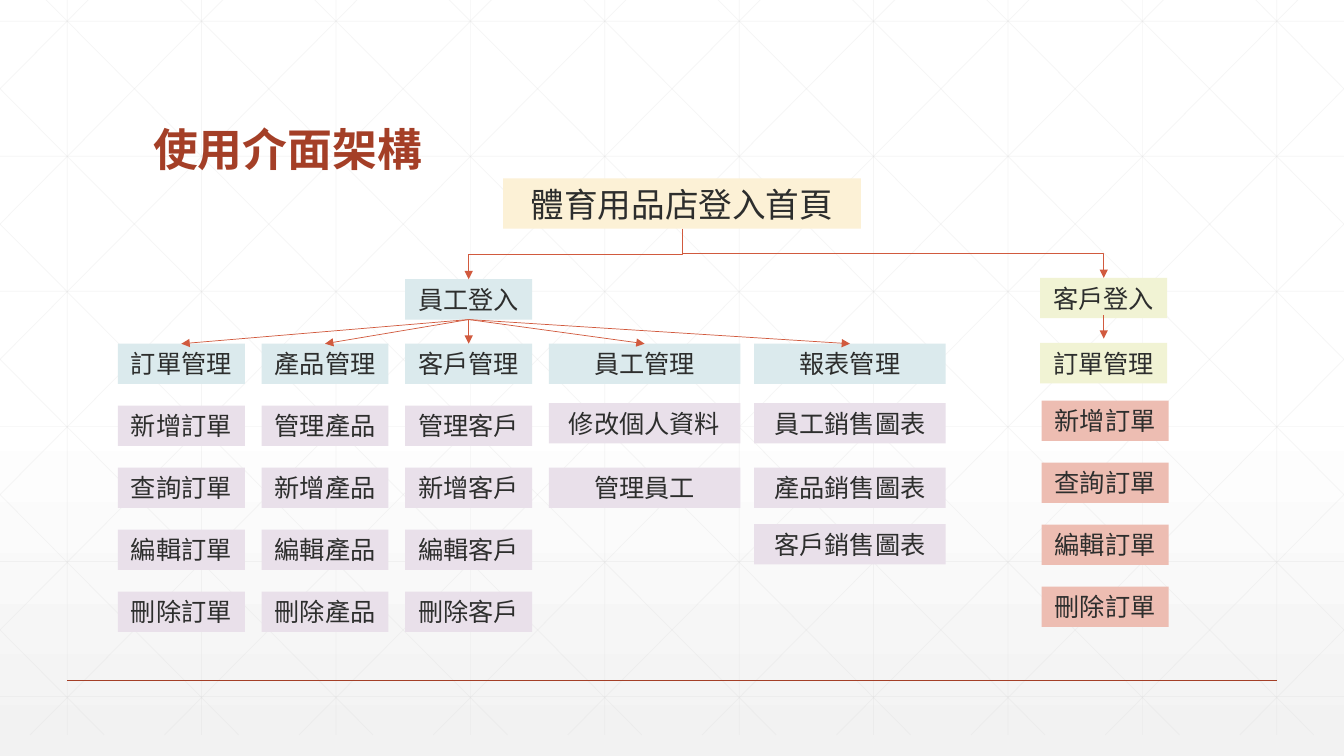
import copy
import dataclasses

import pptx
import pptx.dml.color
import pptx.enum.shapes
import pptx.enum.text
import pptx.oxml
import pptx.oxml.ns
import pptx.util

Inches = pptx.util.Inches
CONNECTOR = pptx.enum.shapes.MSO_CONNECTOR
ALIGN = pptx.enum.text.PP_ALIGN
ANCHOR = pptx.enum.text.MSO_ANCHOR

WIDTH, HEIGHT = 40 / 3, 7.5


@dataclasses.dataclass(frozen=True)
class Theme:
    title: str = "A43F27"
    text: str = "2D2E2D"
    arrow: str = "D15A3E"
    mesh: str = "D9D9D9"
    paper: str = "FFFFFF"
    paper_end: str = "F2F2F2"
    home: str = "FCF1D6"
    staff: str = "DBEAED"
    staff_task: str = "E9E0EA"
    client: str = "F1F3D4"
    client_task: str = "EDBDB2"
    title_font: str = "Noto Sans CJK TC"
    body_font: str = "Arial"
    title_size: int = 32
    home_size: int = 24
    body_size: int = 18


@dataclasses.dataclass(frozen=True)
class Grid:
    left: float
    top: float
    column: float = 1.425
    row: float = 0.615

    def at(self, column, row):
        return self.left + column * self.column, self.top + row * self.row


THEME = Theme()
NARROW, WIDE, TALL = 1.26, 1.9, 0.4

# Column, width, heading, tasks and the rows the tasks stand in
EVEN_ROWS, WIDE_ROWS = (1, 2, 3, 4), (0.96, 2, 2.91)
STAFF_MENUS = [
    (0, NARROW, "訂單管理", ["新增訂單", "查詢訂單", "編輯訂單", "刪除訂單"], EVEN_ROWS),
    (1, NARROW, "產品管理", ["管理產品", "新增產品", "編輯產品", "刪除產品"], EVEN_ROWS),
    (2, NARROW, "客戶管理", ["管理客戶", "新增客戶", "編輯客戶", "刪除客戶"], EVEN_ROWS),
    (3, WIDE, "員工管理", ["修改個人資料", "管理員工"], WIDE_ROWS),
    (4.43, WIDE, "報表管理", ["員工銷售圖表", "產品銷售圖表", "客戶銷售圖表"], WIDE_ROWS),
]
CLIENT_TASKS = ["新增訂單", "查詢訂單", "編輯訂單", "刪除訂單"]


def rgb(value):
    return pptx.dml.color.RGBColor.from_string(value)


def write(shape, text, size=THEME.body_size, font=THEME.body_font, color=THEME.text,
          bold=False, align=ALIGN.CENTER, anchor=ANCHOR.MIDDLE, spacing=1.0):
    frame = shape.text_frame
    frame.word_wrap = True
    frame.vertical_anchor = anchor
    para = frame.paragraphs[0]
    para.alignment = align
    para.line_spacing = spacing
    span = para.add_run()
    span.text = text
    span.font.size = pptx.util.Pt(size)
    span.font.name = font
    span.font.bold = bold
    span.font.color.rgb = rgb(color)
    east_asian = pptx.oxml.parse_xml(
        f'<a:ea {pptx.oxml.ns.nsdecls("a")} typeface="{font}"/>')
    span.font._element.append(east_asian)


def add_line(page, start, end, color, weight=0.5, kind=CONNECTOR.STRAIGHT,
             arrow=False, opacity=None):
    line = page.shapes.add_connector(kind, *(Inches(v) for v in (*start, *end)))
    line.line.width = pptx.util.Pt(weight)
    line.line.color.rgb = rgb(color)
    names = pptx.oxml.ns.nsdecls("a")
    properties = line._element.spPr
    if opacity is not None:
        tint = properties.xpath("./a:ln/a:solidFill/a:srgbClr")[0]
        tint.append(pptx.oxml.parse_xml(f'<a:alpha {names} val="{opacity * 1000}"/>'))
    if arrow:
        properties.ln.append(
            pptx.oxml.parse_xml(f'<a:tailEnd {names} type="triangle"/>'))
    properties.append(pptx.oxml.parse_xml(f"<a:effectLst {names}/>"))
    return line


def add_drop(page, start, end):
    """Elbow arrow that leaves downward: a level elbow turned a quarter."""
    middle_x, middle_y = (start[0] + end[0]) / 2, (start[1] + end[1]) / 2
    half_x, half_y = (end[0] - start[0]) / 2, (end[1] - start[1]) / 2
    elbow = add_line(page, (middle_x - half_y, middle_y + half_x),
                     (middle_x + half_y, middle_y - half_x),
                     THEME.arrow, kind=CONNECTOR.ELBOW, arrow=True)
    elbow._element.spPr.xfrm.rot = 90


def add_box(page, corner, text, fill, width=NARROW, height=TALL, **text_format):
    """Draws a box and returns the middles of its top and bottom edges."""
    left, top = corner
    box = page.shapes.add_shape(pptx.enum.shapes.MSO_SHAPE.RECTANGLE,
                                *(Inches(v) for v in (left, top, width, height)))
    box.shadow.inherit = False
    box.fill.solid()
    box.fill.fore_color.rgb = rgb(fill)
    box.line.fill.background()
    frame = box.text_frame
    frame.margin_top = frame.margin_bottom = 0
    write(box, text, **text_format)
    return (left + width / 2, top), (left + width / 2, top + height)


def draw_background(page):
    # Paper shade, white over the upper half
    fill = page.background.fill
    fill.gradient()
    fill.gradient_angle = 270
    first = page._element.xpath(".//a:gs")[0]
    first.addnext(copy.deepcopy(first))
    shades = [(0, THEME.paper), (0.53, THEME.paper), (1, THEME.paper_end)]
    for stop, (position, color) in zip(fill.gradient_stops, shades):
        stop.position = position
        stop.color.rgb = rgb(color)

    # Mesh: uprights, levels, then mirrored diagonals cut at the slide's sides
    pitch, top, bottom = WIDTH / 10, -0.21, 7.29
    segments = [((pitch * (i + 0.5), top), (pitch * (i + 0.5), bottom))
                for i in range(10)]
    segments += [((0, 0.21 + 1.34 * i), (WIDTH, 0.21 + 1.34 * i)) for i in range(6)]
    for i in range(-5, 10):
        start = 0.25 + pitch * i
        left, right = max(start, 0), min(start + 7.45, WIDTH)
        slope = (bottom - top) / 7.45
        high, low = top + (left - start) * slope, top + (right - start) * slope
        segments.append(((left, high), (right, low)))
        segments.append(((WIDTH - left, high), (WIDTH - right, low)))
    for start, end in segments:
        add_line(page, start, end, THEME.mesh, opacity=25)

    # Footer rule
    add_line(page, (pitch / 2, 6.75), (WIDTH - pitch / 2, 6.75), THEME.title, weight=1)


def draw_title(page, left, top, width, height):
    box = page.shapes.add_textbox(*(Inches(v) for v in (left, top, width, height)))
    write(box, "使用介面架構", size=THEME.title_size, font=THEME.title_font,
          color=THEME.title, bold=True, align=ALIGN.LEFT, anchor=ANCHOR.BOTTOM,
          spacing=0.9)


def draw_staff_branch(page, grid):
    login_top, login_bottom = add_box(page, grid.at(2, -1.04), "員工登入", THEME.staff)
    for column, width, heading, tasks, rows in STAFF_MENUS:
        heading_top, _ = add_box(page, grid.at(column, 0), heading, THEME.staff, width)
        for task, row in zip(tasks, rows):
            add_box(page, grid.at(column, row), task, THEME.staff_task, width)
        add_line(page, login_bottom, heading_top, THEME.arrow, arrow=True)
    return login_top


def draw_client_branch(page, grid):
    login_top, (center, login_bottom) = add_box(
        page, grid.at(0, -0.98), "客戶登入", THEME.client)
    add_box(page, grid.at(0, 0.07), "訂單管理", THEME.client)
    for row, task in enumerate(CLIENT_TASKS, start=1):
        add_box(page, grid.at(0.01, row), task, THEME.client_task)
    add_line(page, (center, login_bottom - 0.03), (center, grid.top), THEME.arrow,
             arrow=True)
    return login_top


def main():
    deck = pptx.Presentation()
    deck.slide_width, deck.slide_height = Inches(WIDTH), Inches(HEIGHT)
    page = deck.slides.add_slide(deck.slide_layouts[6])
    draw_background(page)
    draw_title(page, 1.42, 0.55, 10.5, 1.25)
    _, home_bottom = add_box(page, (4.99, 1.77), "體育用品店登入首頁", THEME.home,
                             width=3.55, height=0.5, size=THEME.home_size)
    staff_top = draw_staff_branch(page, Grid(1.17, 3.41))
    client_top = draw_client_branch(page, Grid(10.32, 3.36))
    for login_top in (client_top, staff_top):
        add_drop(page, home_bottom, login_top)
    deck.save("out.pptx")


if __name__ == "__main__":
    main()
